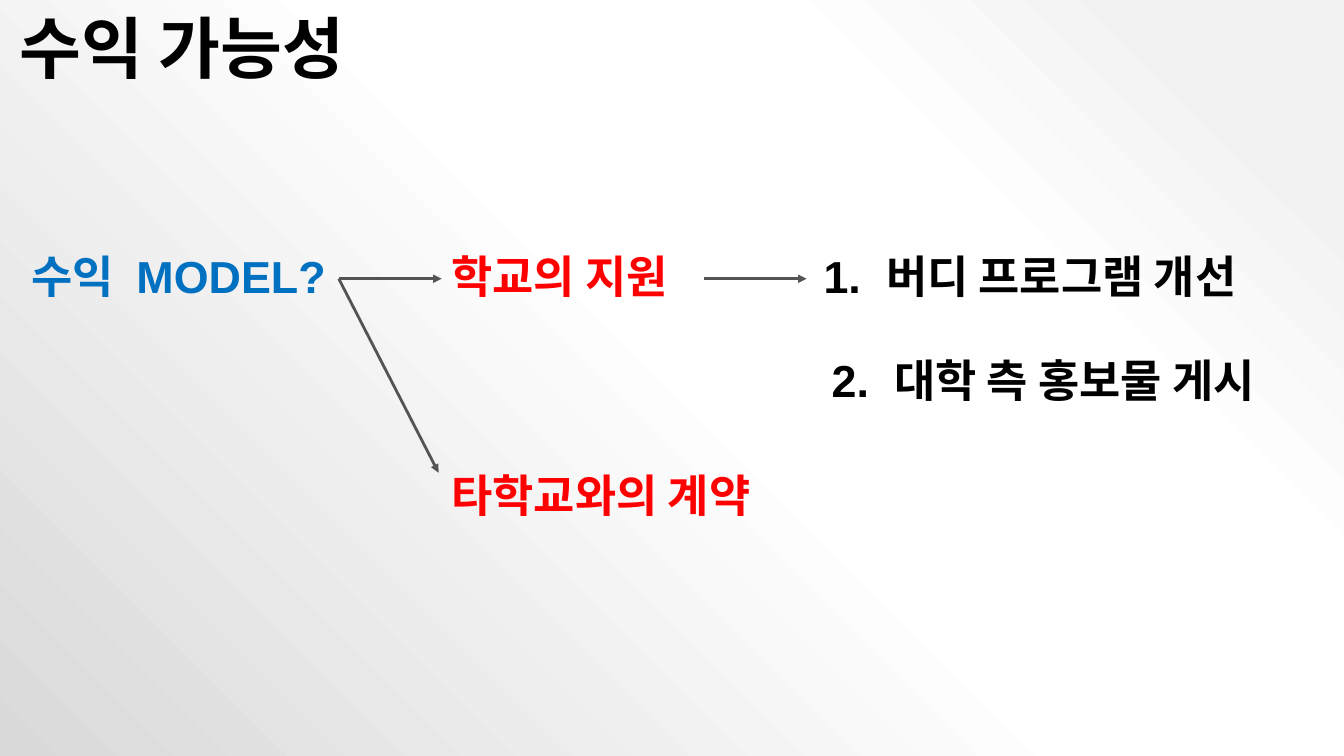
from dataclasses import dataclass

from pptx import Presentation
from pptx.dml.color import RGBColor
from pptx.enum.shapes import MSO_CONNECTOR
from pptx.enum.text import MSO_ANCHOR, PP_ALIGN
from pptx.oxml import parse_xml
from pptx.oxml.ns import nsdecls, qn
from pptx.util import Inches, Pt


@dataclass(frozen=True)
class Theme:
    font: str = "Arial"
    title_size: int = 48
    label_size: int = 32
    wide_gap: int = 900  # extra width of a space, in hundredths of a point
    black: str = "000000"
    question: str = "0070C0"
    answer: str = "FF0000"
    arrow: str = "545454"
    arrow_width: int = 2
    background: tuple = ((10, "F2F2F2"), (28, "FFFFFF"), (48, "FFFFFF"), (100, "D9D9D9"))


THEME = Theme()

# Grid in inches: columns by left edge, rows by label top
COLUMNS = {"question": 0.21, "answer": 4.38, "result": 8.07}
ROWS = (2.33, 3.36, 4.51)
LABEL_HEIGHT = 0.87
ARROW_Y = ROWS[0] + LABEL_HEIGHT / 2
ARROW_LENGTH = 1.02


def paint_background(slide):
    """Spread the theme's gradient from the top right corner."""
    slide.background.fill.solid()
    stops = "".join(
        f'<a:gs pos="{position * 1000}"><a:srgbClr val="{color}"/></a:gs>'
        for position, color in THEME.background
    )
    gradient = parse_xml(
        f'<a:gradFill {nsdecls("a")} rotWithShape="1"><a:gsLst>{stops}</a:gsLst>'
        '<a:path path="circle"><a:fillToRect l="100000" b="100000"/></a:path>'
        '<a:tileRect t="-100000" r="-100000"/></a:gradFill>'
    )
    solid = slide.element.find(f".//{qn('p:bgPr')}/{qn('a:solidFill')}")
    solid.getparent().replace(solid, gradient)


def format_text(shape, size, color, alignment=PP_ALIGN.LEFT):
    frame = shape.text_frame
    frame.word_wrap = True
    frame.vertical_anchor = MSO_ANCHOR.MIDDLE
    paragraph = frame.paragraphs[0]
    paragraph.alignment = alignment
    paragraph.line_spacing = 0.9
    paragraph.font.name = THEME.font
    paragraph.font.size = Pt(size)
    paragraph.font.bold = True
    paragraph.font.color.rgb = RGBColor.from_string(color)
    return paragraph


def add_title(slide, text):
    title = slide.shapes.title
    title.left, title.top = Inches(-0.74), 0
    title.width, title.height = Inches(5.09), Inches(1.02)
    title.text = text
    format_text(title, THEME.title_size, THEME.black, PP_ALIGN.CENTER)


def add_label(slide, text, left, row, width, color, wide_gap=False):
    """Add a label; wide_gap widens the space after its first word."""
    box = slide.shapes.add_textbox(
        Inches(left), Inches(ROWS[row]), Inches(width), Inches(LABEL_HEIGHT)
    )
    paragraph = format_text(box, THEME.label_size, color)
    for part in text.partition(" ") if wide_gap else (text,):
        run = paragraph.add_run()
        run.text = part
        if part == " ":
            run.font._element.set("spc", str(THEME.wide_gap))


def add_arrow(slide, start_x, end_x, end_y=ARROW_Y):
    arrow = slide.shapes.add_connector(
        MSO_CONNECTOR.STRAIGHT,
        Inches(start_x), Inches(ARROW_Y), Inches(end_x), Inches(end_y),
    )
    arrow.line.color.rgb = RGBColor.from_string(THEME.arrow)
    arrow.line.width = Pt(THEME.arrow_width)
    arrow.line._get_or_add_ln().append(
        parse_xml(f'<a:tailEnd {nsdecls("a")} type="triangle"/>')
    )
    arrow.element.spPr.append(parse_xml(f'<a:effectLst {nsdecls("a")}/>'))


def main():
    presentation = Presentation()
    presentation.slide_width, presentation.slide_height = Inches(13.33), Inches(7.5)
    slide = presentation.slides.add_slide(presentation.slide_layouts[5])
    paint_background(slide)
    add_title(slide, "수익 가능성")

    # Question, answers and results
    question, answer, result = COLUMNS.values()
    add_label(slide, "수익 MODEL?", question, 0, 3.15, THEME.question, wide_gap=True)
    add_label(slide, "학교의 지원", answer, 0, 2.6, THEME.answer)
    add_label(slide, "타학교와의 계약", answer, 2, 4.49, THEME.answer)
    add_label(slide, "1. 버디 프로그램 개선", result, 0, 4.97, THEME.black, wide_gap=True)
    add_label(slide, "2. 대학 측 홍보물 게시", result + 0.08, 1, 4.74, THEME.black, wide_gap=True)

    # Arrows leave the right edges of the question and the first answer
    question_edge, answer_edge = question + 3.15, answer + 2.6
    add_arrow(slide, question_edge, question_edge + ARROW_LENGTH)
    add_arrow(slide, answer_edge, answer_edge + ARROW_LENGTH)
    add_arrow(slide, question_edge, 4.35, 4.69)

    presentation.save("out.pptx")


if __name__ == "__main__":
    main()
